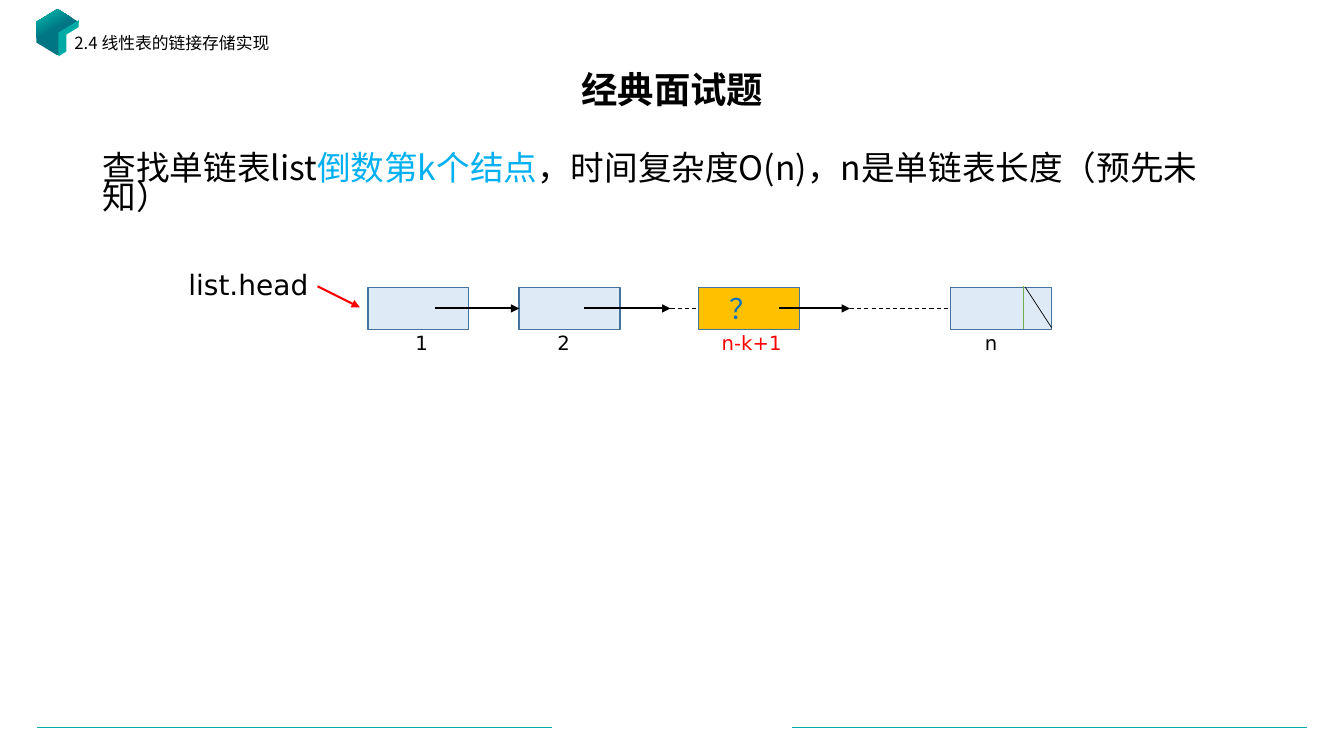
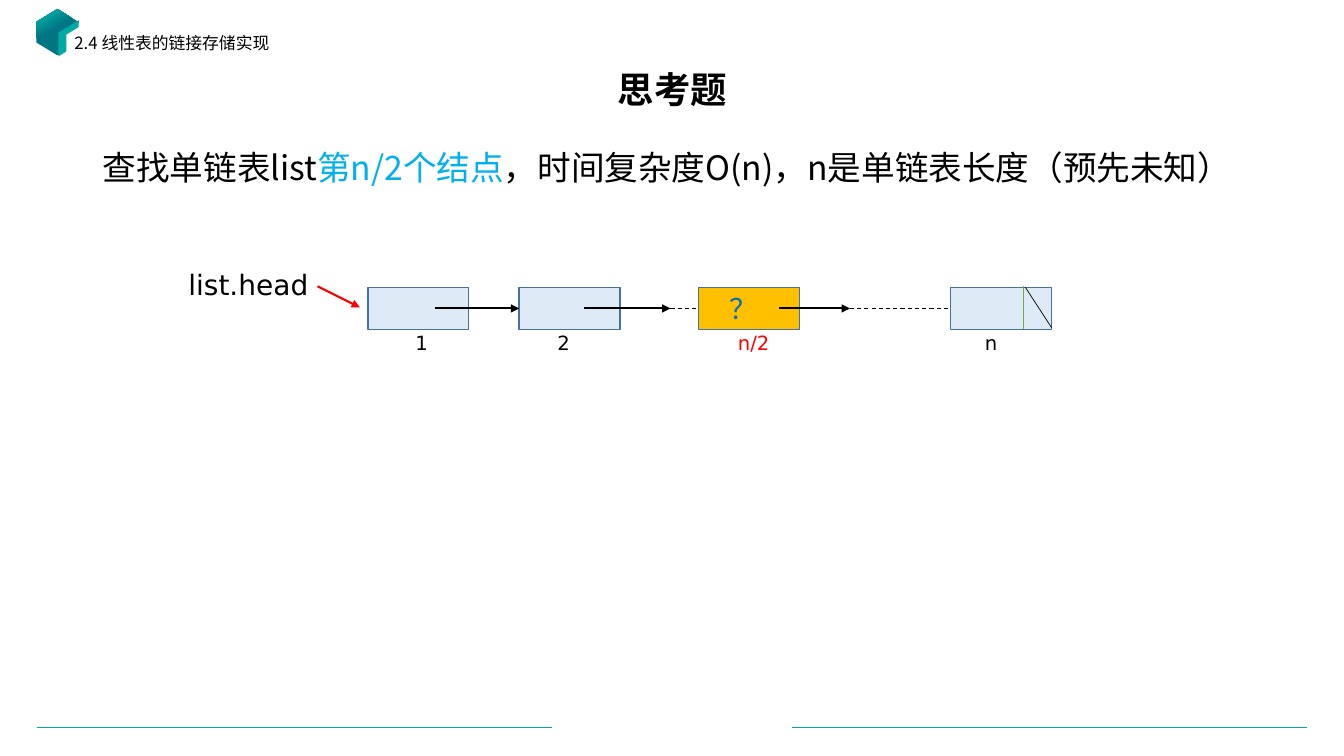
from lxml import etree
from pptx import Presentation
from pptx.dml.color import RGBColor
from pptx.enum.dml import MSO_LINE
from pptx.enum.shapes import MSO_CONNECTOR, MSO_SHAPE
from pptx.enum.text import MSO_ANCHOR, PP_ALIGN
from pptx.oxml.ns import qn
from pptx.util import Inches, Pt

LINE, DASH = MSO_CONNECTOR.STRAIGHT, MSO_LINE.DASH
RECT, HEX, SLANT = MSO_SHAPE.RECTANGLE, MSO_SHAPE.HEXAGON, MSO_SHAPE.PARALLELOGRAM
MID, CENTER = MSO_ANCHOR.MIDDLE, PP_ALIGN.CENTER
HAN, SANS = "Noto Sans CJK SC", "DejaVu Sans"
rgb = RGBColor.from_string
BLACK, WHITE, RED, TEAL = "000000", "FFFFFF", "FF0000", "00ABA5"
PALE, GOLD, EDGE = "DEEBF7", "FFC000", "43739E"

deck = Presentation()
deck.slide_width, deck.slide_height = Inches(13.33), Inches(7.5)


def place(*nums):
    """Turn percentages (x, y, x, y ...) into slide lengths."""
    sides = deck.slide_width, deck.slide_height
    return [round(n * sides[i % 2] / 100) for i, n in enumerate(nums)]


def write(box, runs, size, face, color=BLACK, space=1.0):
    """Fill a box with one paragraph of (text, colour or None) runs."""
    par = box.text_frame.paragraphs[0]
    par.line_spacing, par.space_before = space, Pt(0)
    par.font.size, par.font.name = Pt(size), face
    par.font.color.rgb = rgb(color)
    font = par._p.pPr.find(qn("a:defRPr"))
    etree.SubElement(font, qn("a:ea")).set("typeface", face)
    for text, tint in runs:
        run = par.add_run()
        run.text = text
        if tint:
            run.font.color.rgb = rgb(tint)
    return par


# Title, coloured words, label of the wanted node and its left edge
pages = [
    ("经典面试题", "倒数第k个结点", "n-k+1", 52.96),
    ("思考题", "第n/2个结点", "n/2", 54.16),
]
mid = 40.8  # height of the list's centre line

for name, goal, mark, left in pages:
    slide = deck.slides.add_slide(deck.slide_layouts[5])
    shapes = slide.shapes

    # Cube ornament: hexagon and two slanted faces
    cube = [
        (HEX, (2.55, 1.47, 3.45, 5.6), 90, 0.305, None),
        (SLANT, (3.75, 3.73, 2.7, 2.67), 328.6, 0.61, TEAL),
        (SLANT, (4.35, 4, 2.7, 2.67), 328.6, 0.61, WHITE),
    ]
    for kind, spot, turn, bend, tint in cube:
        face = shapes.add_shape(kind, *place(*spot))
        face.rotation, face.adjustments[0] = turn, bend
        face.shadow.inherit = False
        face.line.fill.background()
        if tint:
            face.fill.solid()
            face.fill.fore_color.rgb = rgb(tint)
        else:
            face.fill.gradient()
            face.fill.gradient_angle = 210
            for stop, pos, tone in zip(face.fill.gradient_stops, (0.57, 0.87), ("007684", TEAL)):
                stop.position, stop.color.rgb = pos, rgb(tone)

    # Title
    title = shapes.title
    title.left, title.top, title.width, title.height = place(6.9, 8.27, 86.27, 7.6)
    title.text_frame.vertical_anchor = MID
    par = write(title, [(name, None)], 26, HAN, space=0.9)
    par.alignment, par.font.bold = CENTER, True

    # List nodes
    nodes = []
    for x, tint in ((27.38, PALE), (38.63, PALE), (51.99, GOLD), (70.74, PALE)):
        node = shapes.add_shape(RECT, *place(x, mid - 2.8, 7.5, 5.6))
        node.shadow.inherit = False
        node.fill.solid()
        node.fill.fore_color.rgb = rgb(tint)
        node.line.color.rgb, node.line.width = rgb(EDGE), Pt(1)
        nodes.append(node)

    # Section, question, head, node labels
    ask = [("查找单链表list", None), (goal, "00B0F0"),
           ("，时间复杂度O(n)，n是单链表长度（预先未知）", None)]
    texts = [
        ((4.8, 4, 39.9, 4.8), [("2.4 线性表的链接存储实现", None)], 12, HAN, BLACK, 0.9),
        ((6.9, 20, 87.25, 14), ask, 24, HAN, BLACK, 0.74),
        ((13.28, 34.67, 10.65, 5.87), [("list.head", None)], 20, SANS, BLACK, 1.0),
        ((53.56, 37.87, 3.6, 5.87), [("？", None)], 20, "Calibri", "0070C0", 1.0),
    ]
    for x, text, tint in ((30.16, "1", BLACK), (40.74, "2", BLACK), (left, mark, RED), (72.54, "n", BLACK)):
        texts.append(((x, 43.07, 7.5, 4.53), [(text, None)], 14, SANS, tint, 1.0))
    for spot, *style in texts:
        box = shapes.add_textbox(*place(*spot))
        box.text_frame.word_wrap = True
        write(box, *style)

    # Lines: ends, colour, width, style, node whose left side is joined
    lines = [
        ((41.1, 96.27, 2.75, 96.27), TEAL, 0.5, "", None),
        ((97.25, 96.27, 58.9, 96.27), TEAL, 0.5, "", None),
        ((23.63, 37.87, 26.78, 40.67), RED, 1.5, "arrow", None),
        ((32.33, mid, 38.63, mid), BLACK, 1.5, "arrow", 1),
        ((43.44, mid, 49.89, mid), BLACK, 1.5, "arrow", None),
        ((57.99, mid, 63.24, mid), BLACK, 1.5, "arrow", None),
        ((49.89, mid, 51.99, mid), BLACK, 0.75, "dash", 2),
        ((63.24, mid, 70.74, mid), BLACK, 0.75, "dash", 3),
        ((76.29, 38, 78.24, 43.33), BLACK, 0.5, "", None),
        ((76.14, 37.87, 76.14, 43.47), "70AD47", 0.5, "", None),
    ]
    for ends, tint, wide, look, goes in lines:
        link = shapes.add_connector(LINE, *place(*ends))
        link.line.color.rgb, link.line.width = rgb(tint), Pt(wide)
        if look == "dash":
            link.line.dash_style = DASH
        if look == "arrow":
            tip = etree.SubElement(link.line._get_or_add_ln(), qn("a:tailEnd"))
            tip.set("type", "triangle")
        etree.SubElement(link._element.spPr, qn("a:effectLst"))
        if goes is not None:
            link.end_connect(nodes[goes], 1)

deck.save("out.pptx")
